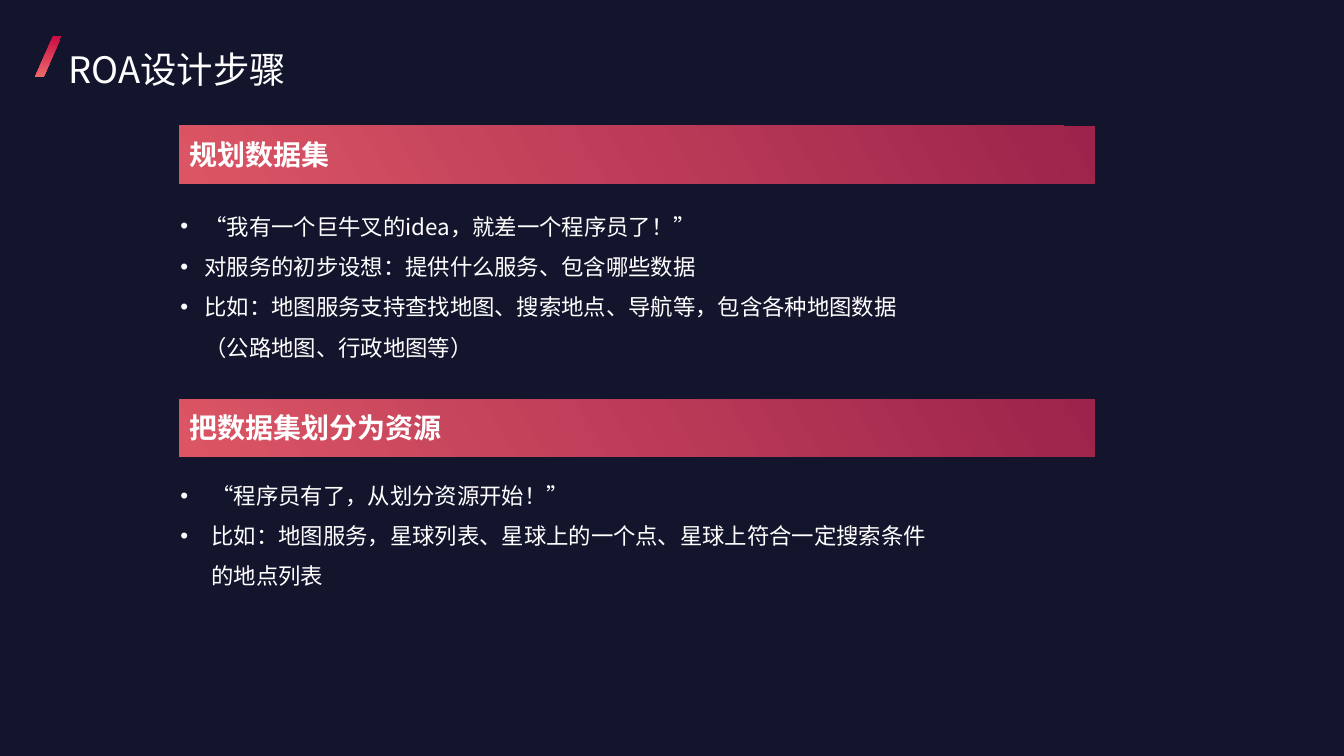
from lxml.etree import SubElement
from pptx import Presentation
from pptx.dml.color import RGBColor
from pptx.enum.shapes import MSO_SHAPE
from pptx.enum.text import MSO_ANCHOR
from pptx.oxml.ns import qn
from pptx.util import Inches, Pt

# Content
TITLE = "ROA设计步骤"
SECTIONS = [
    {"heading": "规划数据集", "top": 1.25, "heading_width": 1.6,
     "body": (1.69, 1.93, 7.6, 1.72), "indent": 0.24,
     "points": ["“我有一个巨牛叉的idea，就差一个程序员了！”",
                "对服务的初步设想：提供什么服务、包含哪些数据",
                "比如：地图服务支持查找地图、搜索地点、导航等，包含各种地图数据（公路地图、行政地图等）"]},
    {"heading": "把数据集划分为资源", "top": 3.96, "heading_width": 2.73,
     "body": (1.69, 4.6, 7.79, 1.31), "indent": 0.31,
     "points": ["“程序员有了，从划分资源开始！”",
                "比如：地图服务，星球列表、星球上的一个点、星球上符合一定搜索条件的地点列表"]},
]

# Style
COLORS = {"background": "13152D", "text": "FFFFFF",
          "slash_top": "CC0C43", "slash_bottom": "EA696B",
          "bar_dark": "9D234C", "bar_light": "DB5564"}
CJK_FONT = "Noto Sans CJK SC"
TITLE_FONT = {"name": CJK_FONT, "size": Pt(26)}
HEADING_FONT = {"name": "Arial", "size": Pt(20), "bold": True}
BODY_FONT = {"name": CJK_FONT, "size": Pt(16)}
BAR_LEFT, BAR_WIDTH, BAR_HEIGHT = 1.78, 9.08, 0.57
HEADING_HEIGHT = 0.44


def color(name):
    return RGBColor.from_string(COLORS[name])


def add_gradient_shape(slide, kind, box, stops, angle):
    shape = slide.shapes.add_shape(kind, *map(Inches, box))
    shape.shadow.inherit = False
    shape.line.fill.background()
    shape.fill.gradient()
    shape.fill.gradient_angle = angle
    for stop, name in zip(shape.fill.gradient_stops, stops):
        stop.color.rgb = color(name)
    return shape


def add_bullet(paragraph, indent):
    properties = paragraph._p.get_or_add_pPr()
    properties.set("marL", str(Inches(indent)))
    properties.set("indent", str(-Inches(indent)))
    bullet_color = SubElement(properties, qn("a:buClr"))
    SubElement(bullet_color, qn("a:srgbClr"), val=COLORS["text"])
    SubElement(properties, qn("a:buFont"), typeface="Arial")
    SubElement(properties, qn("a:buChar"), char="•")


def add_text(slide, box, lines, font, spacing=1.0, indent=None, wrap=True,
             anchor=MSO_ANCHOR.TOP):
    frame = slide.shapes.add_textbox(*map(Inches, box)).text_frame
    frame.word_wrap = wrap
    frame.vertical_anchor = anchor
    for number, line in enumerate(lines):
        paragraph = frame.add_paragraph() if number else frame.paragraphs[0]
        if indent:
            add_bullet(paragraph, indent)
        paragraph.line_spacing = spacing
        run = paragraph.add_run()
        run.text = line
        for attribute, value in font.items():
            setattr(run.font, attribute, value)
        run.font.color.rgb = color("text")
        SubElement(run._r.get_or_add_rPr(), qn("a:ea"), typeface=CJK_FONT)


presentation = Presentation()
presentation.slide_width = Inches(13.33)
presentation.slide_height = Inches(7.5)
slide = presentation.slides.add_slide(presentation.slide_layouts[6])
slide.background.fill.solid()
slide.background.fill.fore_color.rgb = color("background")

# Title with its slash
slash = add_gradient_shape(slide, MSO_SHAPE.PARALLELOGRAM, (0.35, 0.36, 0.26, 0.4),
                           ("slash_top", "slash_bottom"), 270)
slash.adjustments[0] = 0.676
add_text(slide, (0.58, 0.24, 10.1, 0.8), [TITLE], TITLE_FONT, 1.2,
         anchor=MSO_ANCHOR.MIDDLE)

# Sections: bar, heading centred on the bar, bullet points
for section in SECTIONS:
    top = section["top"]
    add_gradient_shape(slide, MSO_SHAPE.RECTANGLE, (BAR_LEFT, top, BAR_WIDTH, BAR_HEIGHT),
                       ("bar_dark", "bar_light"), 210)
    heading_top = top + (BAR_HEIGHT - HEADING_HEIGHT) / 2
    add_text(slide, (BAR_LEFT, heading_top, section["heading_width"], HEADING_HEIGHT),
             [section["heading"]], HEADING_FONT, wrap=False)
    add_text(slide, section["body"], section["points"], BODY_FONT, 1.5, section["indent"])

presentation.save("out.pptx")
